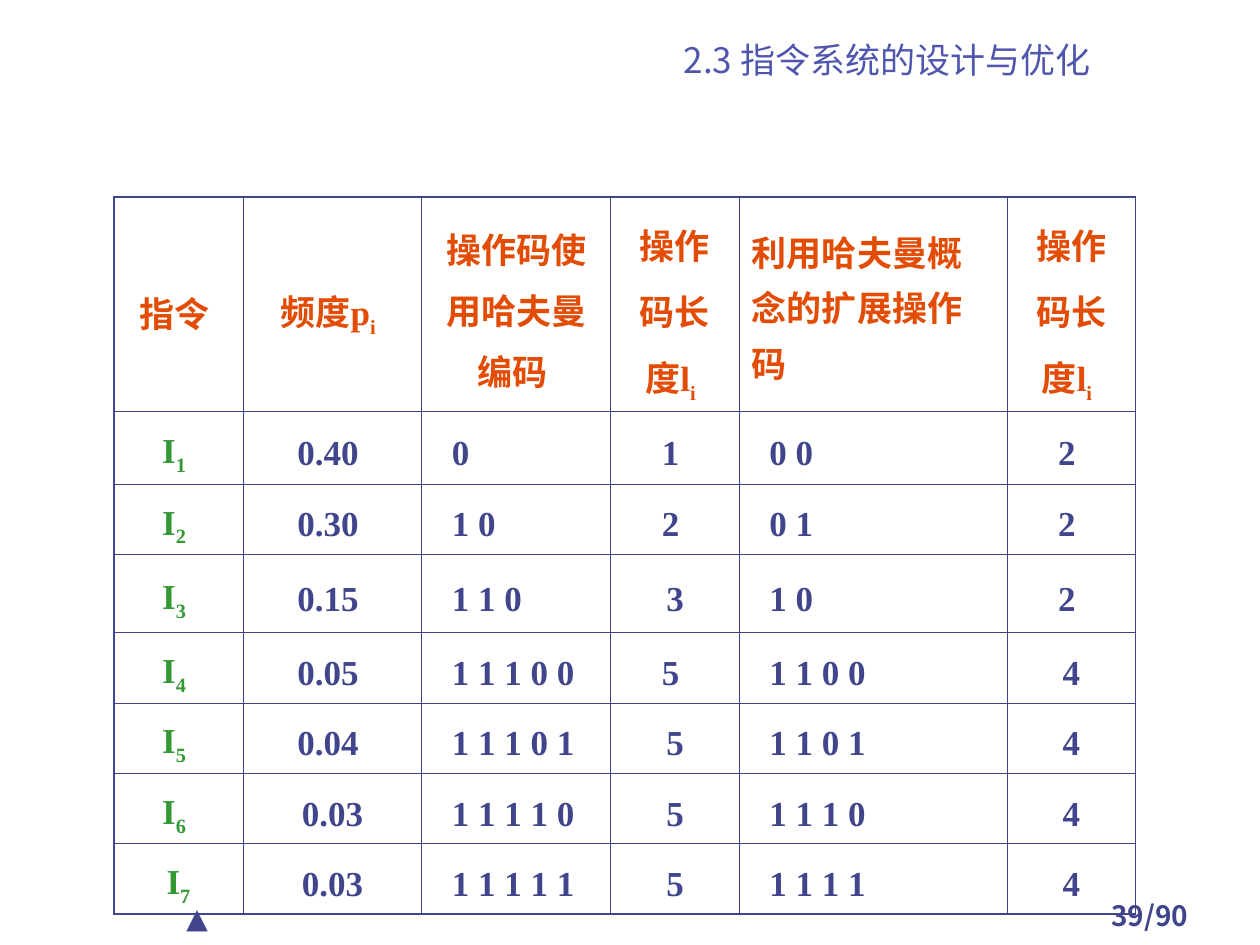
from typing import NamedTuple

from lxml.etree import SubElement
from pptx import Presentation
from pptx.dml.color import RGBColor
from pptx.enum.text import MSO_ANCHOR, PP_ALIGN
from pptx.oxml.ns import qn
from pptx.util import Pt

NAVY = RGBColor(0x40, 0x45, 0x8C)
INDIGO = RGBColor(0x4F, 0x56, 0xAD)
ORANGE = RGBColor(0xE2, 0x4C, 0x05)
GREEN = RGBColor(0x33, 0x99, 0x33)
SANS = "Noto Sans CJK SC"
SERIF = "Times New Roman"
THIN, THICK = Pt(0.45), Pt(1.08)
LEFT, MID = PP_ALIGN.LEFT, PP_ALIGN.CENTER


class Style(NamedTuple):
    font: str
    size: float
    color: RGBColor
    bold: bool = False


class Note(NamedTuple):
    text: str
    left: float
    top: float
    width: float
    height: float
    align: PP_ALIGN
    style: Style


class Column(NamedTuple):
    head: str
    width: float
    top: PP_ALIGN = MID  # alignment of the heading
    align: PP_ALIGN = MID  # alignment of the values
    spacing: float = 1.3  # line spacing of the heading
    color: RGBColor = NAVY


NOTES = [
    Note("39/90", 606, 510, 102, 24, MID, Style(SANS, 16, NAVY, True)),
    Note("▲", 99.5, 511, 102, 26.5, LEFT, Style("Cabin", 16, NAVY)),
]

# An underscore starts a subscript.
COLUMNS = [
    Column("指令 ", 74, color=GREEN),
    Column("频度p_i ", 102),
    Column("操作码使用哈夫曼编码 ", 108, MID, LEFT, 1.2),
    Column("操作码长度l_i ", 73.5),
    Column("利用哈夫曼概念的扩展操作码", 153, LEFT, LEFT, 1.1),
    Column("操作码长度l_i ", 73.5),
]
ROWS = [
    ("I_1 ", "0.40 ", "0", "1 ", "0 0", "2 "),
    ("I_2 ", "0.30 ", "1 0", "2 ", "0 1", "2 "),
    ("I_3 ", "0.15 ", "1 1 0", "3", "1 0", "2 "),
    ("I_4 ", "0.05 ", "1 1 1 0 0", "5 ", "1 1 0 0", "4"),
    ("I_5 ", "0.04 ", "1 1 1 0 1", "5", "1 1 0 1", "4"),
    ("I_6 ", "0.03", "1 1 1 1 0", "5", "1 1 1 0", "4"),
    ("I_7", "0.03", "1 1 1 1 1", "5", "1 1 1 1", "4"),
]
HEIGHTS = [122.5, 41.5, 40.5, 44.5, 40.25, 40.25, 40.25, 40.25]


def dress(run, style: Style) -> None:
    font = run.font
    font.name, font.size, font.bold = style.font, Pt(style.size), style.bold
    font.color.rgb = style.color
    SubElement(run._r.get_or_add_rPr(), qn("a:ea"), typeface=SANS)


def write(para, text: str, style: Style) -> None:
    """Fill a paragraph, lowering the letter that follows an underscore."""
    base, _, sub = text.partition("_")
    para.text = base
    if sub:
        run = para.add_run()
        run.text = sub[0]
        run._r.get_or_add_rPr().set("baseline", "-25000")
    if sub[1:]:
        para.add_run().text = sub[1:]
    for run in para.runs:
        dress(run, style)


def place(shape, left: float, top: float, width: float, height: float) -> None:
    shape.left, shape.top = Pt(left), Pt(top)
    shape.width, shape.height = Pt(width), Pt(height)


def add_note(slide, note: Note) -> None:
    box = slide.shapes.add_textbox(0, 0, 0, 0)
    place(box, note.left, note.top, note.width, note.height)
    box.text_frame.word_wrap = True
    para = box.text_frame.paragraphs[0]
    para.alignment = note.align
    write(para, note.text, note.style)


def add_edge(cell, side: str, width: int) -> None:
    line = SubElement(cell._tc.get_or_add_tcPr(), qn(f"a:ln{side}"), w=str(int(width)))
    fill = SubElement(line, qn("a:solidFill"))
    SubElement(fill, qn("a:srgbClr"), val=str(NAVY))


def fill_cell(cell, text: str, col: Column, head: bool) -> None:
    cell.vertical_anchor = MSO_ANCHOR.MIDDLE
    cell.margin_top = cell.margin_bottom = Pt(2)
    para = cell.text_frame.paragraphs[0]
    para.alignment = col.top if head else col.align
    para.line_spacing = col.spacing if head else 1.3
    if not head and col.align == LEFT:
        cell.margin_left = Pt(17.2)
    write(para, text, Style(SERIF, 20, ORANGE if head else col.color, True))


def add_grid(slide) -> None:
    lines = [tuple(col.head for col in COLUMNS), *ROWS]
    wide = sum(col.width for col in COLUMNS)
    grid = slide.shapes.add_table(
        len(lines), len(COLUMNS), Pt(65), Pt(112.5), Pt(wide), Pt(sum(HEIGHTS))
    ).table
    grid.first_row = grid.horz_banding = False
    for part, col in zip(grid.columns, COLUMNS):
        part.width = Pt(col.width)
    for part, height in zip(grid.rows, HEIGHTS):
        part.height = Pt(height)
    for r, line in enumerate(lines):
        for c, text in enumerate(line):
            cell = grid.cell(r, c)
            fill_cell(cell, text, COLUMNS[c], r == 0)
            outer = {"L": c == 0, "R": c == len(COLUMNS) - 1,
                     "T": r == 0, "B": r == len(lines) - 1}
            for side, edge in outer.items():
                add_edge(cell, side, THICK if edge else THIN)
            cell.fill.background()


def add_title(slide) -> None:
    title = slide.shapes.title
    place(title, 306, 19.5, 402, 30)
    title.text_frame.vertical_anchor = MSO_ANCHOR.BOTTOM
    para = title.text_frame.paragraphs[0]
    para.alignment = MID
    write(para, "2.3 指令系统的设计与优化", Style(SANS, 20, INDIGO))


def main() -> None:
    deck = Presentation()
    deck.slide_width, deck.slide_height = Pt(720), Pt(540)
    slide = deck.slides.add_slide(deck.slide_layouts[5])
    for note in NOTES:
        add_note(slide, note)
    add_title(slide)
    add_grid(slide)
    deck.save("out.pptx")


if __name__ == "__main__":
    main()
